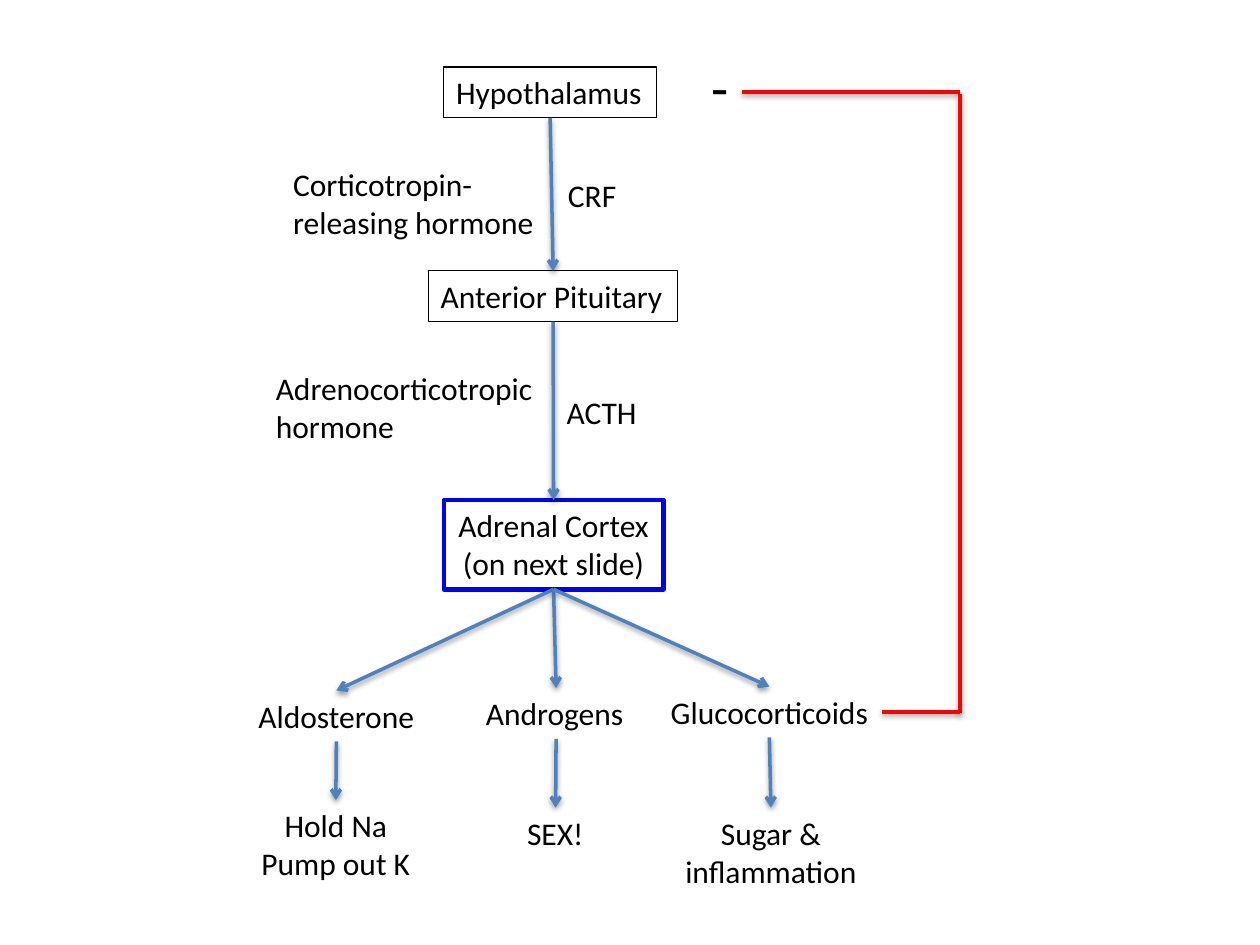
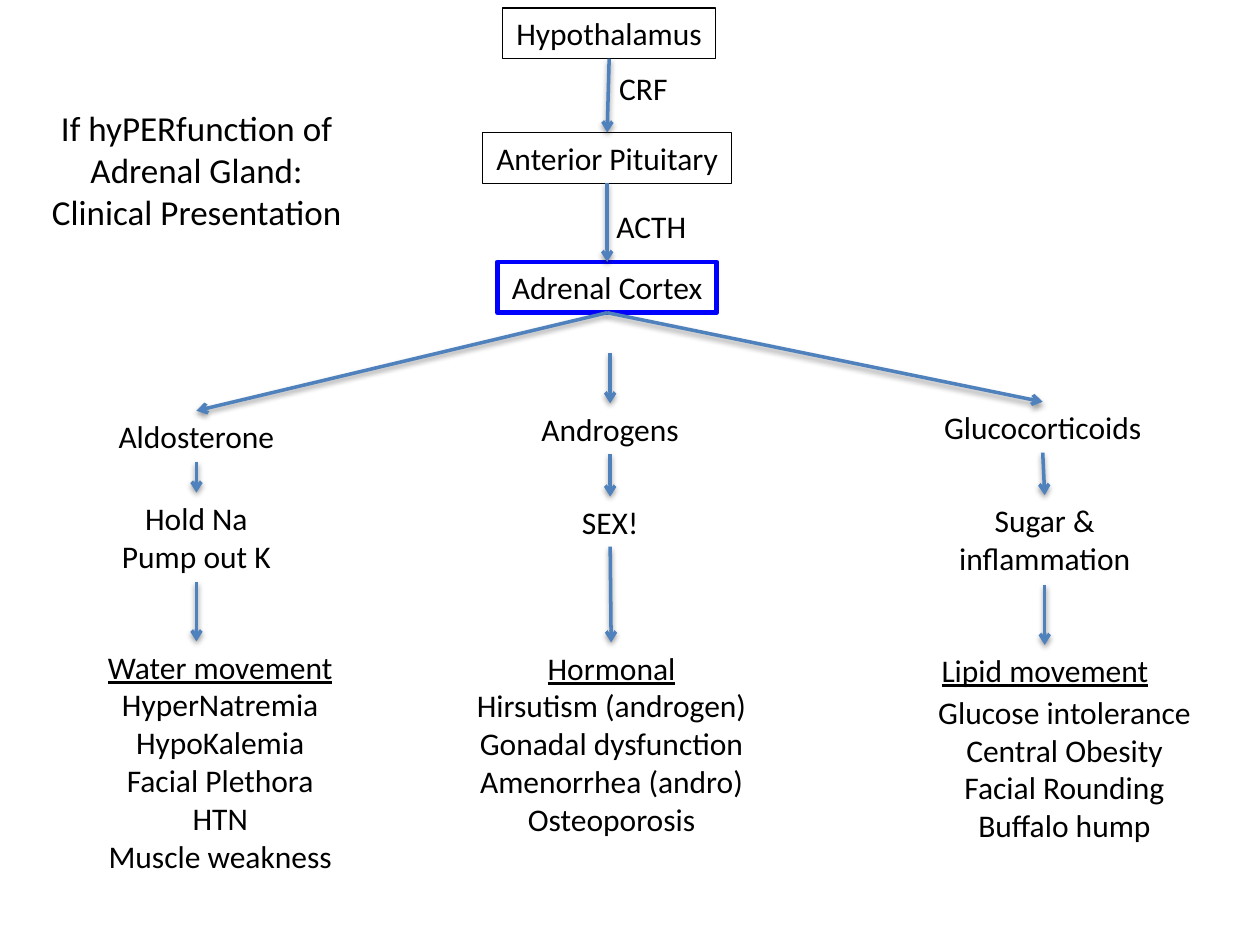
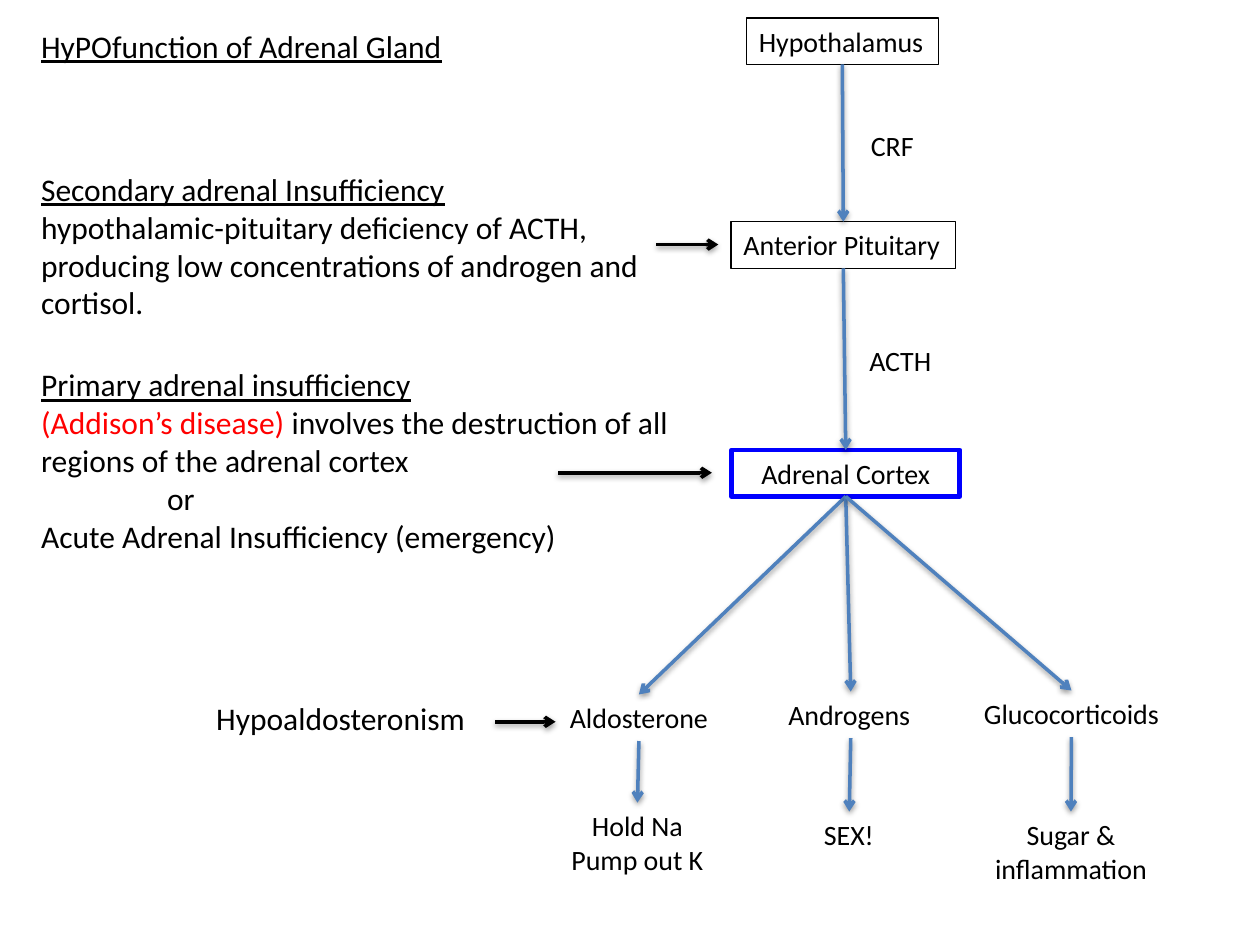
import pptx
import pptx.dml.color
import pptx.enum.shapes
import pptx.enum.text
import pptx.oxml
import pptx.oxml.ns
import pptx.util

Cm, Pt = pptx.util.Cm, pptx.util.Pt
ALIGN = pptx.enum.text.PP_ALIGN
U = {"underline": True}

THEME = {
    "font": "Calibri", "body": 18, "small": 16, "heading": 20, "sign": 32,
    "ink": "000000", "arrow": "4F81BD", "feedback": "FF0000", "focus": "0000FF",
    "frame_pt": 0.75, "focus_pt": 2.75, "line_pt": 2,
    "line_height": 1.22, "inset": 0.25, "tab": 1.27,
}

# name: (lines, width in cm at body size, frame, left-aligned by default)
NODES = {
    "hypothalamus": (["Hypothalamus"], 4.29, "ink", True),
    "pituitary": (["Anterior Pituitary"], 5.03, "ink", True),
    "cortex": (["Adrenal Cortex"], 4.42, "focus", False),
    "crf": (["CRF"], 1.5, None, True),
    "acth": (["ACTH"], 1.93, None, True),
    "aldosterone": (["Aldosterone"], 3.71, None, False),
    "androgens": (["Androgens"], 3.33, None, True),
    "glucocorticoids": (["Glucocorticoids"], 4.55, None, False),
    "salt": (["Hold Na", "Pump out K"], 3.53, None, False),
    "sex": (["SEX!"], 1.65, None, True),
    "sugar": (["Sugar &", "inflammation"], 4.01, None, False),
}
EDGES = [
    ("hypothalamus", "pituitary"), ("pituitary", "cortex"),
    ("cortex", "aldosterone"), ("cortex", "androgens"), ("cortex", "glucocorticoids"),
    ("aldosterone", "salt"), ("androgens", "sex"), ("glucocorticoids", "sugar"),
]

# places: node -> (centre, top); notes: (left, top, width, size, align, paragraphs[, drawn lines]);
# lines: (x1, y1, x2, y2, colour, has arrowhead). All lengths in cm.
SLIDES = [
    {
        "size": "body",
        "places": {
            "hypothalamus": (11.09, 1.35), "pituitary": (11.15, 5.46), "cortex": (11.16, 10.08),
            "crf": (11.95, 3.43), "acth": (12.14, 7.8),
            "aldosterone": (6.78, 13.92), "androgens": (11.21, 13.87),
            "glucocorticoids": (15.51, 13.84),
            "salt": (6.77, 16.13), "sex": (11.2, 16.28), "sugar": (15.54, 16.28),
        },
        "more": {"cortex": ["(on next slide)"]},
        "notes": [
            (5.66, 3.2, 5.41, "body", "LEFT", ["Corticotropin-", "releasing hormone"]),
            (5.31, 7.32, 5.77, "body", "LEFT", ["Adrenocorticotropic", "hormone"]),
            (14.1, 0.94, 0.86, "sign", "LEFT", ["-"]),
        ],
        "lines": [
            (19.35, 1.85, 14.96, 1.85, "feedback", False),
            (19.35, 1.9, 19.35, 14.38, "feedback", False),
            (17.78, 14.35, 19.35, 14.35, "feedback", False),
        ],
    },
    {
        "size": "body", "centred": True,
        "places": {
            "hypothalamus": (12.28, 0.16), "pituitary": (12.24, 2.67), "cortex": (12.24, 5.28),
            "crf": (12.97, 1.27), "acth": (13.13, 4.04),
            "aldosterone": (3.96, 8.28), "androgens": (12.3, 8.13),
            "glucocorticoids": (21.02, 8.1),
            "salt": (3.96, 9.93), "sex": (12.3, 10.01), "sugar": (21.06, 9.98),
        },
        "unlinked": [("cortex", "androgens")],
        "notes": [
            (0.75, 2.03, 6.43, "heading", "CENTER",
             ["If hyPERfunction of", "Adrenal Gland:", "Clinical Presentation"]),
            (1.8, 12.93, 5.28, "body", "CENTER",
             [[("Water movement", U)], "HyperNatremia", "HypoKalemia", "Facial Plethora",
              "HTN", "Muscle weakness"]),
            (9.32, 12.95, 6.02, "body", "CENTER",
             [[("Hormonal", U)], "Hirsutism (androgen)", "Gonadal dysfunction",
              "Amenorrhea (andro)", "Osteoporosis"]),
            (18.69, 13, 4.75, "body", "CENTER", [[("Lipid movement", U)]]),
            (18.54, 13.84, 5.84, "body", "CENTER",
             ["Glucose intolerance", "Central Obesity", "Facial Rounding", "Buffalo hump"]),
        ],
        "lines": [
            (12.3, 7.11, 12.3, 8.13, "arrow", True),
            (3.96, 11.73, 3.96, 12.93, "arrow", True),
            (12.3, 11.02, 12.32, 12.95, "arrow", True),
            (21.06, 11.79, 21.06, 13, "arrow", True),
        ],
    },
    {
        "size": "small",
        "places": {
            "hypothalamus": (16.98, 0.36), "pituitary": (17, 4.47), "cortex": (17.05, 9.07),
            "crf": (18, 2.46), "acth": (18.16, 6.81),
            "aldosterone": (12.88, 14), "androgens": (17.15, 13.94),
            "glucocorticoids": (21.6, 13.92),
            "salt": (12.85, 16.18), "sex": (17.12, 16.36), "sugar": (21.59, 16.36),
        },
        "widths": {"cortex": 4.6},
        "notes": [
            (0.58, 0.41, 8.69, "body", "LEFT", [[("HyPOfunction of Adrenal Gland", U)]]),
            (0.58, 3.3, 12.7, "body", "LEFT",
             [[("Secondary adrenal Insufficiency", U)],
              "hypothalamic-pituitary deficiency of ACTH, producing low concentrations of "
              "androgen and cortisol."], 4),
            (0.58, 7.24, 13.69, "body", "LEFT",
             [[("Primary adrenal insufficiency", U)],
              [("(Addison’s disease)", {"color": "feedback"}),
               (" involves the destruction of all regions of the adrenal cortex", {})],
              "\t\tor", "Acute Adrenal Insufficiency (emergency)"], 5),
            (4.11, 13.97, 5.59, "body", "LEFT", ["Hypoaldosteronism"]),
        ],
        "lines": [
            (13.23, 4.93, 14.48, 4.93, "ink", True),
            (11.25, 9.53, 14.35, 9.53, "ink", True),
            (9.98, 14.55, 11.2, 14.55, "ink", True),
        ],
    },
]


def rgb(name):
    return pptx.dml.color.RGBColor.from_string(THEME[name])


def add_tab_stops(p, count):
    tabs = pptx.oxml.parse_xml(f"<a:tabLst {pptx.oxml.ns.nsdecls('a')}/>")
    for i in range(1, count + 1):
        stop = tabs.makeelement(pptx.oxml.ns.qn("a:tab"),
                                {"pos": str(Cm(THEME["tab"] * i)), "algn": "l"})
        tabs.append(stop)
    p._p.get_or_add_pPr().append(tabs)


def add_text(slide, left, top, width, size, align, paragraphs, drawn_lines=None):
    """Add a text box as tall as its lines; it wraps only when drawn_lines is given."""
    pt = THEME[size]
    rows = drawn_lines or len(paragraphs)
    height = Cm(THEME["inset"]) + Pt(rows * pt * THEME["line_height"])
    sp = slide.shapes.add_textbox(Cm(left), Cm(top), Cm(width), height)
    tf = sp.text_frame
    tf.word_wrap = drawn_lines is not None
    tf.auto_size = pptx.enum.text.MSO_AUTO_SIZE.SHAPE_TO_FIT_TEXT
    for i, runs in enumerate(paragraphs):
        p = tf.paragraphs[0] if i == 0 else tf.add_paragraph()
        p.alignment = getattr(ALIGN, align)
        if isinstance(runs, str):
            runs = [(runs, {})]
        tab_count = runs[0][0].count("\t")
        if tab_count:
            add_tab_stops(p, tab_count)
        for text, extra in runs:
            r = p.add_run()
            r.text = text
            values = {"name": THEME["font"], "size": Pt(pt), "color": "ink", **extra}
            r.font.color.rgb = rgb(values.pop("color"))
            for key, value in values.items():
                setattr(r.font, key, value)
    return sp


def add_node(slide, data, name):
    lines, width, frame, left_aligned = NODES[name]
    centre, top = data["places"][name]
    margins = 2 * THEME["inset"]
    scaled = (width - margins) * THEME[data["size"]] / THEME["body"] + margins
    width = data.get("widths", {}).get(name, scaled)
    align = "LEFT" if left_aligned and not data.get("centred") else "CENTER"
    lines = lines + data.get("more", {}).get(name, [])
    sp = add_text(slide, centre - width / 2, top, width, data["size"], align, lines)
    if frame:
        sp.line.color.rgb = rgb(frame)
        sp.line.width = Pt(THEME["focus_pt" if frame == "focus" else "frame_pt"])
    return sp


def add_line(slide, ends, colour, arrow):
    kind = pptx.enum.shapes.MSO_CONNECTOR.STRAIGHT
    sp = slide.shapes.add_connector(kind, *(Cm(v) for v in ends))
    sp.line.color.rgb = rgb(colour)
    sp.line.width = Pt(THEME["line_pt"])
    if arrow:
        ln = sp.line._get_or_add_ln()
        ln.append(ln.makeelement(pptx.oxml.ns.qn("a:tailEnd"), {"type": "arrow"}))
    return sp


def build_slide(prs, data):
    slide = prs.slides.add_slide(prs.slide_layouts[6])
    nodes = {name: add_node(slide, data, name) for name in NODES}
    for edge in EDGES:
        if edge not in data.get("unlinked", []):
            sp = add_line(slide, (0, 0, 0, 0), "arrow", True)
            sp.begin_connect(nodes[edge[0]], 2)
            sp.end_connect(nodes[edge[1]], 0)
    for note in data["notes"]:
        add_text(slide, *note)
    for *ends, colour, arrow in data["lines"]:
        add_line(slide, ends, colour, arrow)


def main():
    prs = pptx.Presentation()
    prs.slide_width, prs.slide_height = Cm(25.4), Cm(19.05)
    for data in SLIDES:
        build_slide(prs, data)
    prs.save("out.pptx")


if __name__ == "__main__":
    main()
